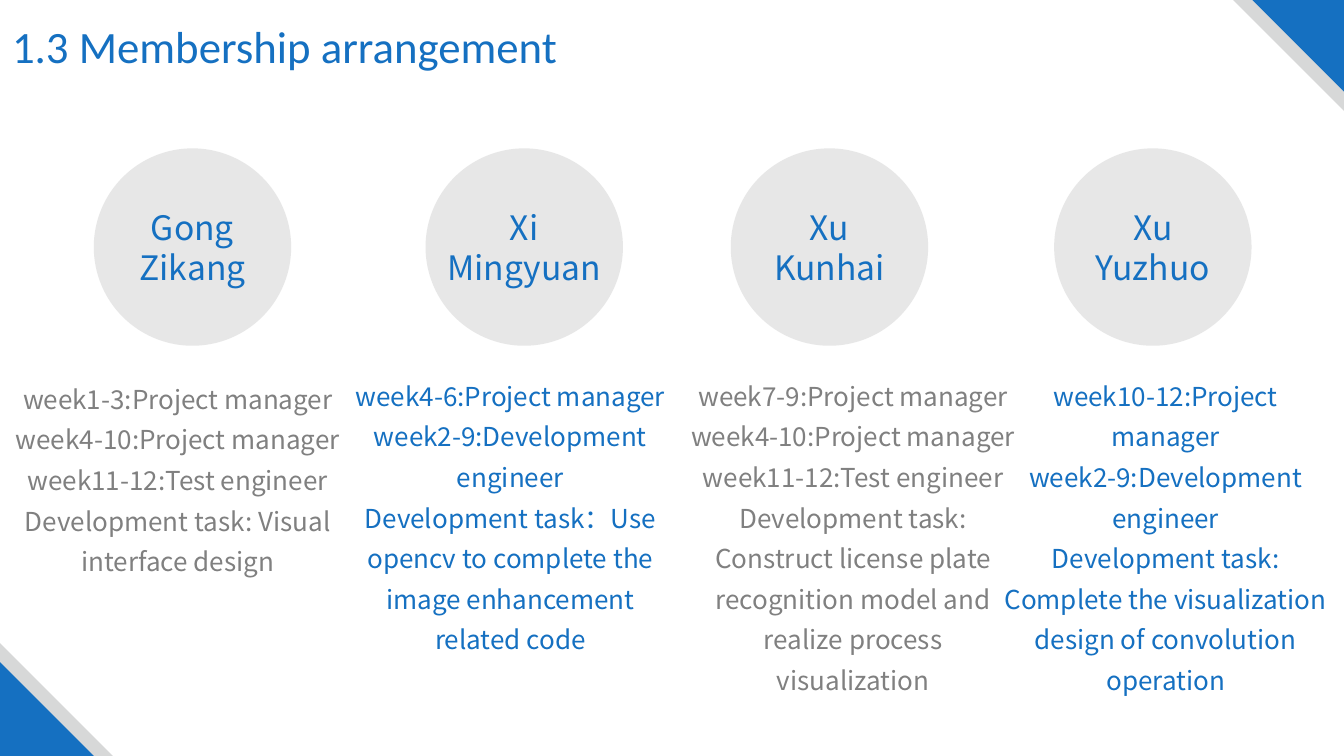
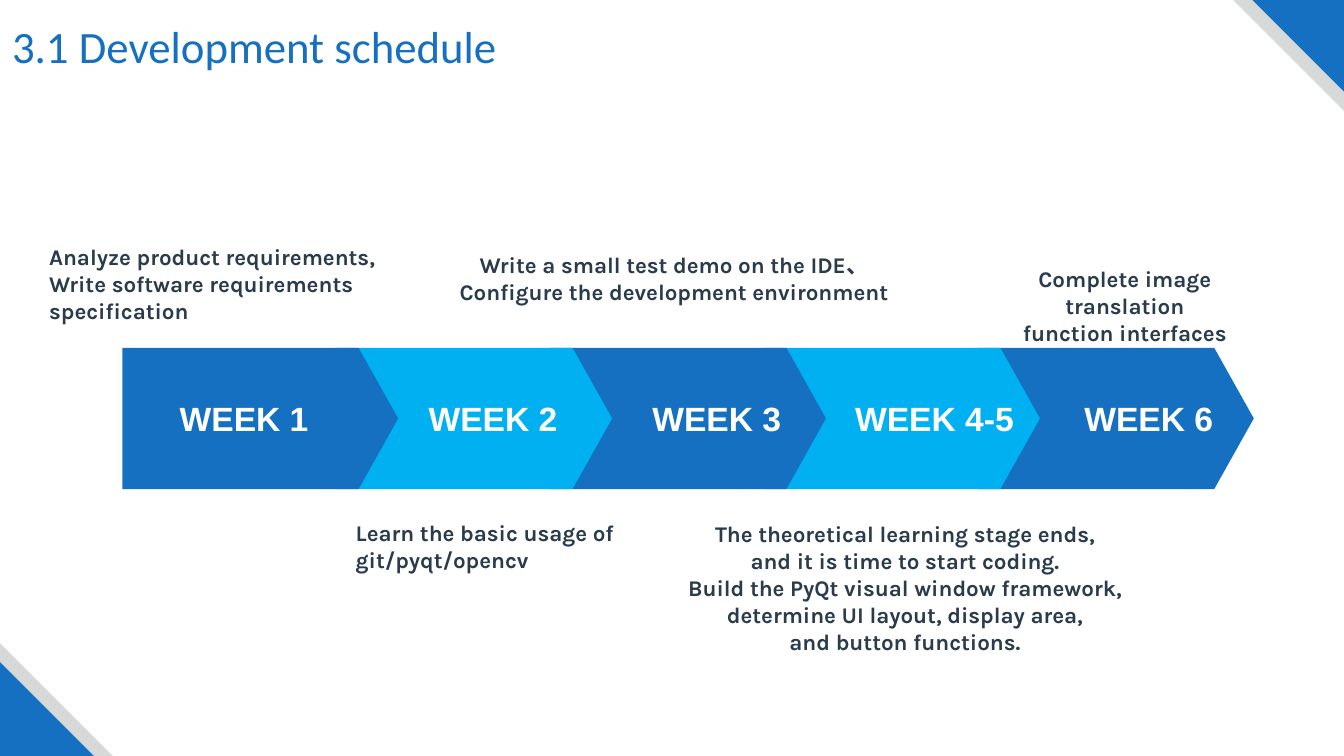
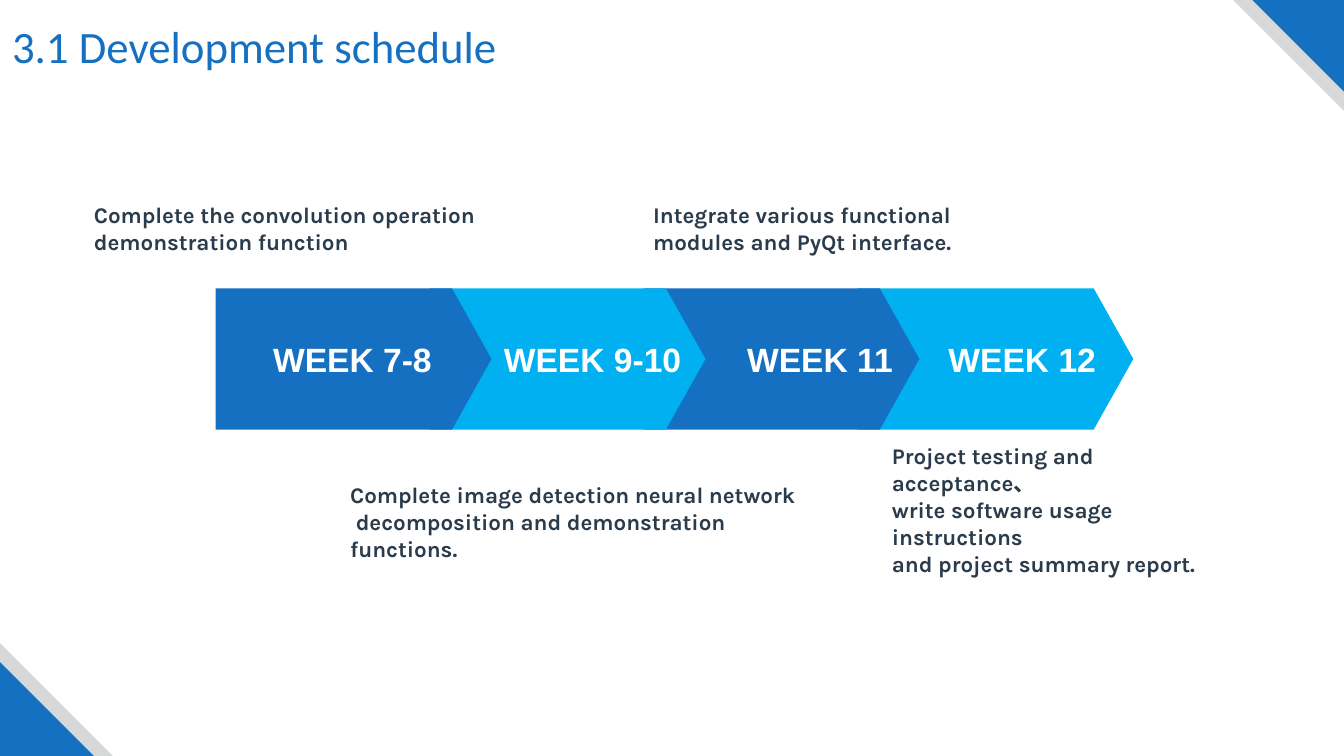
"""Build the membership slide and two schedule slides of a project deck."""
from lxml import etree
from pptx import Presentation
from pptx.dml.color import RGBColor
from pptx.enum.shapes import MSO_SHAPE as SHAPE
from pptx.enum.text import MSO_ANCHOR as ANCHOR, MSO_AUTO_SIZE as AUTO, PP_ALIGN as ALIGN
from pptx.oxml.ns import qn
from pptx.util import Pt

BLUE = RGBColor(0x15, 0x70, 0xC1)
SKY = RGBColor(0x00, 0xB0, 0xF0)
SILVER = RGBColor(0xD7, 0xD8, 0xD8)
DISC = RGBColor(0xD9, 0xD9, 0xD9)
GREY = RGBColor(0x80, 0x80, 0x80)
INK = RGBColor(0x2A, 0x3B, 0x4B)
WHITE = RGBColor(0xFF, 0xFF, 0xFF)

W, H = 960, 540
DISC_TOP, DISC_SIZE, DUTY_W = 106, 141, 254
ARROW_W, ARROW_H, ARROW_STEP, ARROW_TIP = 197, 101, 152.8, 0.28

TITLE = {"name": "Calibri", "size": Pt(32), "color": BLUE}
NAME = {"name": "Noto Sans CJK SC", "size": Pt(24), "color": BLUE}
DUTY = {"name": "Noto Sans CJK SC", "size": Pt(18.6)}
WEEK = {"name": "Arial", "size": Pt(24), "bold": True, "color": WHITE}
NOTE = {"name": "Karla", "size": Pt(16), "bold": True, "color": INK}

CORNERS = [
    ("top", 79.2, SILVER), ("top", 65.5, BLUE),
    ("bottom", 80.6, SILVER), ("bottom", 67, BLUE),
]

MEMBERS = [
    {"name": ["Gong", "Zikang"], "disc": 67, "duty_at": (0, 263.5), "color": GREY,
     "duties": ["week1-3:Project manager", "week4-10:Project manager",
                "week11-12:Test engineer",
                "Development task: Visual interface design"]},
    {"name": ["Xi", "Mingyuan"], "disc": 304, "duty_at": (237.6, 261.4), "color": BLUE,
     "duties": ["week4-6:Project manager", "week2-9:Development engineer",
                "Development task：Use opencv to complete the image enhancement related code"]},
    {"name": ["Xu", "Kunhai"], "disc": 522, "duty_at": (482.4, 261.4), "color": GREY,
     "duties": ["week7-9:Project manager", "week4-10:Project manager",
                "week11-12:Test engineer",
                "Development task: Construct license plate recognition model "
                "and realize process visualization"]},
    {"name": ["Xu", "Yuzhuo"], "disc": 753, "duty_at": (705.6, 261.4), "color": BLUE,
     "duties": ["week10-12:Project manager", "week2-9:Development engineer",
                "Development task: Complete the visualization design of convolution operation"]},
]

SCHEDULES = [
    {"start": (87.4, 248.4),
     "weeks": [("WEEK 1", 41), ("WEEK 2", 66), ("WEEK 3", 73), ("WEEK 4-5", 65), ("WEEK 6", 76)],
     "notes": [
         ((28, 170, 259, 66), ALIGN.LEFT,
          ["Analyze product requirements,", "Write software requirements specification"]),
         ((247, 367, 220, 46), ALIGN.LEFT,
          ["Learn the basic usage of", "git/pyqt/opencv"]),
         ((304, 176, 355, 72), ALIGN.CENTER,
          ["Write a small test demo on the IDE、", "Configure the development environment"]),
         ((472, 368, 349, 104), ALIGN.CENTER,
          ["The theoretical learning stage ends,", "and it is time to start coding.",
           "Build the PyQt visual window framework,", "determine UI layout, display area,",
           "and button functions."]),
         ((694, 186, 219, 66), ALIGN.CENTER,
          ["Complete image translation", "function interfaces"]),
     ]},
    {"start": (154.1, 205.9),
     "weeks": [("WEEK 7-8", 41), ("WEEK 9-10", 53), ("WEEK 11", 74), ("WEEK 12", 65)],
     "notes": [
         ((60, 140, 340, 46), ALIGN.LEFT,
          ["Complete the convolution operation", "demonstration function"]),
         ((243, 340, 350, 66), ALIGN.LEFT,
          ["Complete image detection neural network",
           " decomposition and demonstration functions."]),
         ((459.4, 140, 240, 46), ALIGN.LEFT,
          ["Integrate various functional", "modules and PyQt interface."]),
         ((630, 312.4, 246, 104), ALIGN.LEFT,
          ["Project testing and acceptance、", "write software usage instructions",
           "and project summary report."]),
     ]},
]


def write(tf, lines, style, align=ALIGN.LEFT, spacing=None):
    """Fill a text frame with one paragraph per line."""
    for i, line in enumerate(lines):
        p = tf.add_paragraph() if i else tf.paragraphs[0]
        p.alignment, p.line_spacing = align, spacing
        r = p.add_run()
        r.text = line
        for key, value in style.items():
            if key == "color":
                r.font.color.rgb = value
            else:
                setattr(r.font, key, value)


def add_text(slide, box, *args):
    """Add a wrapping text box."""
    tf = slide.shapes.add_textbox(*map(Pt, box)).text_frame
    tf.word_wrap = True
    write(tf, *args)


def add_solid(slide, kind, box, color):
    """Add a flat preset shape without outline or shadow."""
    sp = slide.shapes.add_shape(kind, *map(Pt, box))
    sp.shadow.inherit = False
    sp.fill.solid()
    sp.fill.fore_color.rgb = color
    sp.line.fill.background()
    return sp


def dress_layout(layout, slide):
    """Place the title and move the corner triangles onto the layout."""
    title = layout.placeholders[0]
    title.left, title.top, title.width, title.height = map(Pt, (1.4, 9.4, 594, 46))
    for corner, size, color in CORNERS:
        x, y = (W - size, 0) if corner == "top" else (0, H - size)
        sp = add_solid(slide, SHAPE.RIGHT_TRIANGLE, (x, y, size, size), color)
        sp.rotation = 180 if corner == "top" else 0
        layout.shapes.element.append(sp.element)


def add_title(slide, text):
    """Write the slide title in the shared style."""
    tf = slide.shapes.title.text_frame
    tf.auto_size, tf.vertical_anchor = AUTO.NONE, ANCHOR.TOP
    write(tf, [text], TITLE)


def add_member(slide, member):
    """Draw a name disc and the duties below it."""
    box = (member["disc"], DISC_TOP, DISC_SIZE, DISC_SIZE)
    sp = add_solid(slide, SHAPE.OVAL, box, DISC)
    rgb = next(sp.element.iter(qn("a:srgbClr")))
    etree.SubElement(rgb, qn("a:alpha"), val="61000")
    tf = sp.text_frame
    tf.word_wrap, tf.vertical_anchor = False, ANCHOR.MIDDLE
    write(tf, member["name"], NAME, ALIGN.CENTER)
    add_text(slide, (*member["duty_at"], DUTY_W, 243), member["duties"],
             {**DUTY, "color": member["color"]}, ALIGN.CENTER, 1.3)


def add_schedule(slide, schedule):
    """Draw overlapping week arrows, the first on top, and their notes."""
    x, y = schedule["start"]
    for i, (week, inset) in reversed(list(enumerate(schedule["weeks"]))):
        box = (x + i * ARROW_STEP, y, ARROW_W, ARROW_H)
        sp = add_solid(slide, SHAPE.PENTAGON, box, SKY if i % 2 else BLUE)
        sp.adjustments[0] = ARROW_TIP
        tf = sp.text_frame
        tf.word_wrap, tf.vertical_anchor = True, ANCHOR.MIDDLE
        tf.margin_left, tf.margin_right = Pt(inset), 0
        write(tf, [week], WEEK)
    for box, align, lines in schedule["notes"]:
        add_text(slide, box, lines, NOTE, align)


def main():
    """Build and save the deck."""
    prs = Presentation()
    prs.slide_width, prs.slide_height = Pt(W), Pt(H)
    layout = prs.slide_layouts[5]

    slide = prs.slides.add_slide(layout)
    dress_layout(layout, slide)
    add_title(slide, "1.3 Membership arrangement")
    for member in MEMBERS:
        add_member(slide, member)

    for schedule in SCHEDULES:
        slide = prs.slides.add_slide(layout)
        add_title(slide, "3.1 Development schedule")
        add_schedule(slide, schedule)

    prs.save("out.pptx")


if __name__ == "__main__":
    main()
